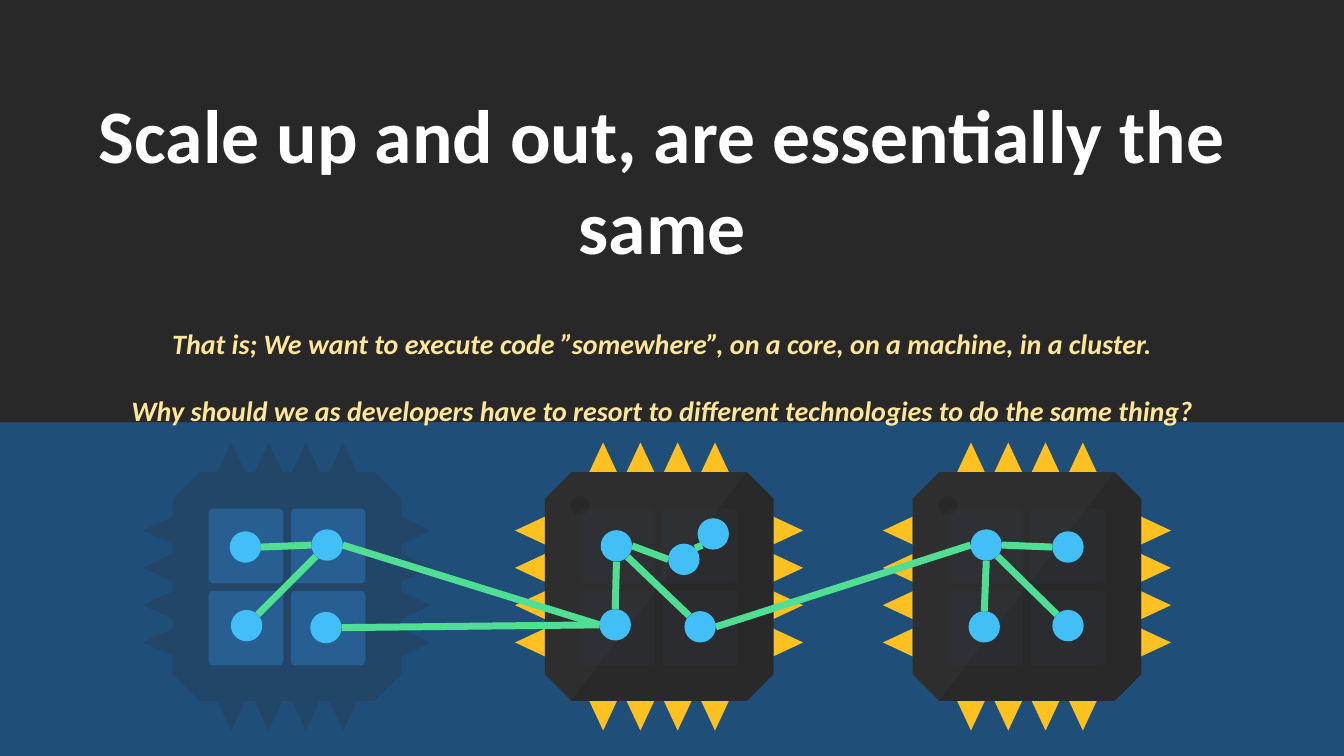
import pptx
import pptx.util
import pptx.dml.color
import pptx.enum.shapes
import pptx.enum.text
import pptx.oxml

Cm, Pt = pptx.util.Cm, pptx.util.Pt
MSO = pptx.enum.shapes.MSO_SHAPE

WIDTH, HEIGHT = 33.87, 19.05
BAND_H = 10.64
CHIP = 7.26          # chip side, pins included
INSET = 0.75         # pin length
CUT = 0.67           # bevelled corner
BODY = CHIP - 2 * INSET
PINS = [CHIP / 2 + 0.94 * (i - 1.5) for i in range(4)]
PIN_HALF = 0.35
NODE = 0.79


def rgb(value):
    return pptx.dml.color.RGBColor.from_string(value)


def paint(sp, color, opacity=100):
    """Flat fill, no outline, no shadow."""
    sp.shadow.inherit = False
    sp.line.fill.background()
    sp.fill.solid()
    sp.fill.fore_color.rgb = rgb(color)
    if opacity < 100:
        clr = sp.fill._xPr.find(".//" + pptx.oxml.ns.qn("a:srgbClr"))
        alpha = pptx.oxml.xmlchemy.OxmlElement("a:alpha")
        alpha.set("val", str(opacity * 1000))
        clr.append(alpha)
    return sp


def shape(shapes, kind, x, y, w, h, color, opacity=100, adj=None):
    sp = shapes.add_shape(kind, Cm(x), Cm(y), Cm(w), Cm(h))
    if adj is not None:
        sp.adjustments[0] = adj
    return paint(sp, color, opacity)


def polygons(shapes, x, y, contours, color, opacity=100):
    """One freeform from closed contours given relative to (x, y)."""
    placed = [[(Cm(x + px), Cm(y + py)) for px, py in c] for c in contours]
    fb = shapes.build_freeform(*placed[0][0])
    for i, points in enumerate(placed):
        if i:
            fb.move_to(*points[0])
        fb.add_line_segments(points[1:], close=True)
    return paint(fb.convert_to_shape(), color, opacity)


def turned(points, quarter):
    """Turn points clockwise about the chip's centre."""
    for _ in range(quarter):
        points = [(CHIP - y, x) for x, y in points]
    return points


def pin(c):
    return [(c - PIN_HALF, INSET), (c, 0), (c + PIN_HALF, INSET)]


def cores(shapes, x, y, color, opacity):
    for row in range(2):
        for col in range(2):
            shape(shapes, MSO.ROUNDED_RECTANGLE, x + 1.65 + 2.07 * col,
                  y + 1.67 + 2.07 * row, 1.88, 1.88, color, opacity, 0.062)


def ghost_chip(s, x, y):
    shapes = s.shapes.add_group_shape().shapes
    side = [(INSET + CUT, INSET)]
    for c in PINS:
        side += pin(c)
    side.append((CHIP - INSET - CUT, INSET))
    outline = [pt for q in range(4) for pt in turned(side, q)]
    polygons(shapes, x, y, [outline], "2E2E2E", 23)
    cores(shapes, x, y, "2E75B6", 55)


def chip(s, x, y):
    shapes = s.shapes.add_group_shape().shapes
    pins = [turned(pin(c), q) for q in range(4) for c in PINS]
    polygons(shapes, x, y, pins, "FFC021")
    shape(shapes, MSO.OCTAGON, x + INSET, y + INSET, BODY, BODY, "2E2E2E",
          adj=CUT / BODY)
    # Shaded half and corner dot
    near, far = INSET + CUT, CHIP - INSET
    shade = [(near, far), (far - CUT, INSET), (far, near),
             (far, far - CUT), (far - CUT, far)]
    polygons(shapes, x, y, [shade], "292929")
    shape(shapes, MSO.OVAL, x + 1.4, y + 1.35, 0.48, 0.48, "292929")
    cores(shapes, x, y, "333F50", 17)


NODES = {
    "a1": (0, 0.33), "a2": (2.06, 0.28), "a3": (0.03, 2.31), "a4": (2.03, 2.36),
    "b1": (9.35, 0.3), "b2": (11.05, 0.64), "b3": (11.79, 0),
    "b4": (9.32, 2.29), "b5": (11.46, 2.34),
    "c1": (18.67, 0.28), "c2": (20.73, 0.33), "c3": (18.62, 2.34),
    "c4": (20.73, 2.31),
}
SIDES = {"n": (0, -1), "s": (0, 1), "w": (-1, 0), "e": (1, 0),
         "ne": (0.71, -0.71), "nw": (-0.71, -0.71),
         "se": (0.71, 0.71), "sw": (-0.71, 0.71)}
LINKS = [
    ("c1", "w", "b5", "e"), ("b4", "w", "a2", "e"), ("b4", "w", "a4", "e"),
    ("b1", "s", "b4", "n"), ("a2", "w", "a1", "e"), ("a2", "sw", "a3", "ne"),
    ("c1", "s", "c3", "n"), ("c1", "se", "c4", "nw"), ("b1", "se", "b5", "nw"),
    ("c1", "e", "c2", "w"), ("b2", "w", "b1", "e"), ("b2", "ne", "b3", "sw"),
]


def network(s, x, y):
    shapes = s.shapes.add_group_shape().shapes

    def rim(name, side):
        return [Cm(o + p + NODE / 2 * (1 + d))
                for o, p, d in zip((x, y), NODES[name], SIDES[side])]

    for a, a_side, b, b_side in LINKS:
        cx = shapes.add_connector(pptx.enum.shapes.MSO_CONNECTOR.STRAIGHT,
                                  *rim(a, a_side), *rim(b, b_side))
        cx.line.color.rgb = rgb("50DE94")
        cx.line.width = Pt(5)
        cx._element.spPr.append(pptx.oxml.xmlchemy.OxmlElement("a:effectLst"))
    for nx, ny in NODES.values():
        shape(shapes, MSO.OVAL, x + nx, y + ny, NODE, NODE, "43BFF7")


def write(p, text, size, color, italic=False, before=0):
    p.alignment = pptx.enum.text.PP_ALIGN.CENTER
    p.line_spacing = 1.0
    p.space_before = Pt(before)
    r = p.add_run()
    r.text = text
    f = r.font
    f.name, f.size, f.bold, f.italic = "Calibri", Pt(size), True, italic
    f.color.rgb = rgb(color)


def place(sp, x, y, w, h):
    """Move a placeholder in front and clear its inner margins."""
    sp.left, sp.top, sp.width, sp.height = Cm(x), Cm(y), Cm(w), Cm(h)
    sp._element.getparent().append(sp._element)
    tf = sp.text_frame
    tf.word_wrap = True
    tf.auto_size = pptx.enum.text.MSO_AUTO_SIZE.NONE
    tf.vertical_anchor = pptx.enum.text.MSO_ANCHOR.TOP
    tf.margin_top = tf.margin_bottom = 0
    return tf


def heading(s, x, y, w):
    tf = place(s.shapes.title, x, y, w, 4.7)
    write(tf.paragraphs[0], "Scale up and out, are essentially the same",
          54, "FFFFFF")
    tf = place(s.placeholders[1], x, y + 6.02, w, 2.6)
    write(tf.paragraphs[0], "That is; We want to execute code ”somewhere”, "
          "on a core, on a machine, in a cluster.", 20, "FFE699", italic=True)
    write(tf.add_paragraph(), "Why should we as developers have to resort to "
          "different technologies to do the same thing?", 20, "FFE699",
          italic=True, before=24)


def main():
    prs = pptx.Presentation()
    prs.slide_width, prs.slide_height = Cm(WIDTH), Cm(HEIGHT)
    s = prs.slides.add_slide(prs.slide_layouts[0])
    s.background.fill.solid()
    s.background.fill.fore_color.rgb = rgb("1F4E79")
    shape(s.shapes, MSO.RECTANGLE, 0, 0, WIDTH, BAND_H, "282828")
    ghost_chip(s, 3.61, 11.15)
    chip(s, 12.98, 11.15)
    chip(s, 22.25, 11.15)
    network(s, 5.79, 13.06)
    heading(s, 0.74, 2.21, 31.9)
    prs.save("out.pptx")


if __name__ == "__main__":
    main()
